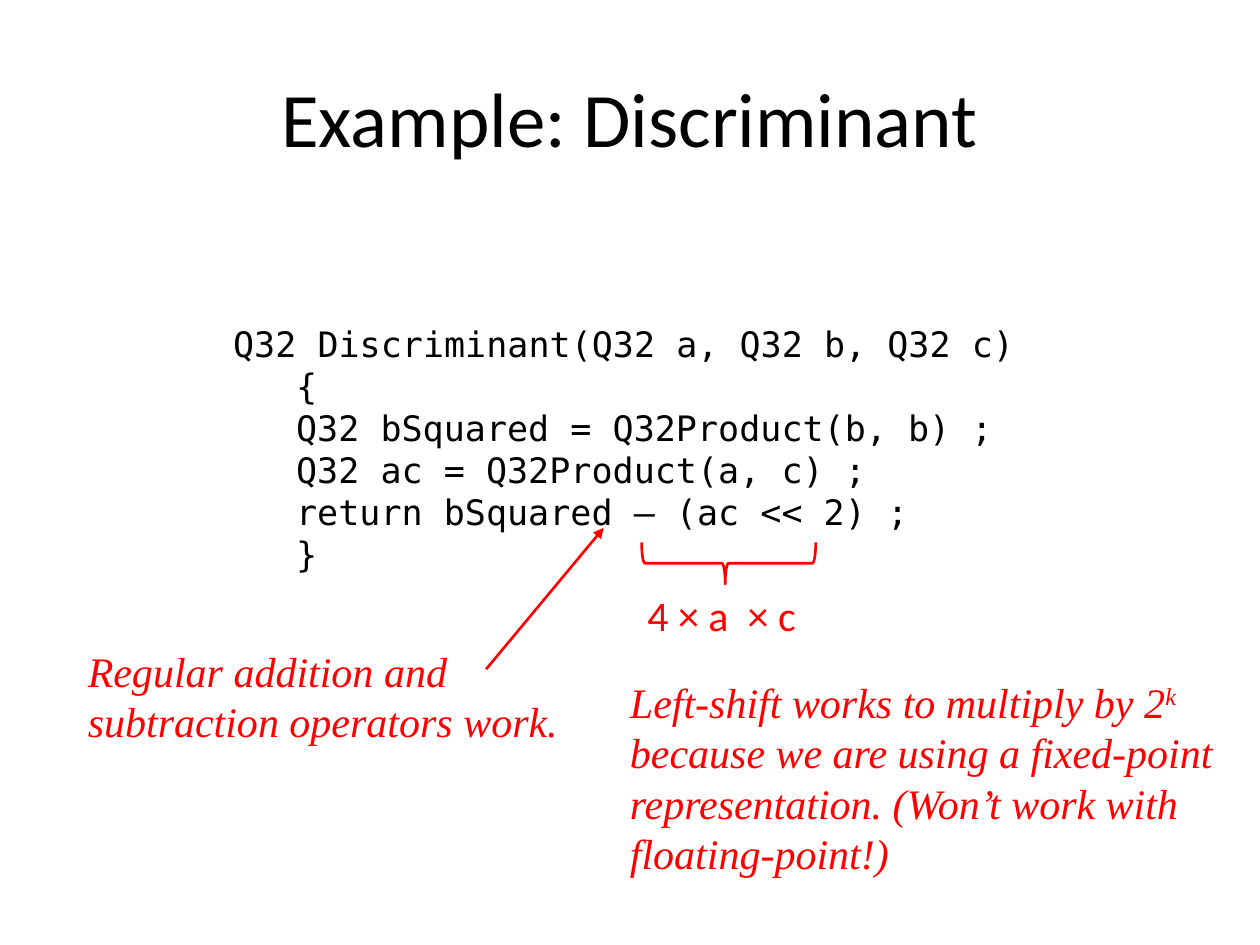
from dataclasses import dataclass

from lxml.etree import SubElement
from pptx import Presentation
from pptx.dml.color import RGBColor
from pptx.enum.shapes import MSO_CONNECTOR, MSO_SHAPE
from pptx.enum.text import MSO_ANCHOR, PP_ALIGN
from pptx.oxml.ns import qn
from pptx.util import Cm, Pt

COLORS = {"text": "000000", "note": "FF0000"}
LINE_WIDTH = Pt(1.5)
CODE_INDENT = Cm(1.27)
SUPERSCRIPT = "30000"


@dataclass
class Run:
    """A piece of text, raised when it is an exponent."""
    text: str
    raised: bool = False


@dataclass
class Line:
    """One paragraph and its indent level."""
    runs: list[Run]
    level: int = 0


@dataclass
class TextBlock:
    """A text box: place in centimetres, paragraphs and style."""
    box: tuple[float, float, float, float]
    lines: list[Line]
    font: str
    size: int
    color: str
    italic: bool = False
    align: PP_ALIGN = PP_ALIGN.LEFT
    anchor: MSO_ANCHOR = MSO_ANCHOR.TOP


def rgb(name: str) -> RGBColor:
    """Look up a named colour."""
    return RGBColor.from_string(COLORS[name])


def note(box: tuple[float, float, float, float], *runs: Run) -> TextBlock:
    """Describe a red italic remark."""
    return TextBlock(box, [Line(list(runs))], "Times New Roman", 24, "note", italic=True)


def add_text(s, block: TextBlock) -> None:
    """Draw a text block run by run."""
    tf = s.shapes.add_textbox(*map(Cm, block.box)).text_frame
    tf.word_wrap = True
    tf.vertical_anchor = block.anchor
    for i, line in enumerate(block.lines):
        p = tf.add_paragraph() if i else tf.paragraphs[0]
        p.alignment = block.align
        if line.level:
            p.level = line.level
            pPr = p._p.get_or_add_pPr()
            pPr.set("marL", str(CODE_INDENT * line.level))
            pPr.set("indent", "0")
        for run in line.runs:
            r = p.add_run()
            r.text = run.text
            r.font.name = block.font
            r.font.size = Pt(block.size)
            r.font.italic = block.italic
            r.font.color.rgb = rgb(block.color)
            if run.raised:
                r._r.get_or_add_rPr().set("baseline", SUPERSCRIPT)


def add_brace(s, box: tuple[float, float, float, float]) -> None:
    """Draw a brace turned to point downwards."""
    sp = s.shapes.add_shape(MSO_SHAPE.LEFT_BRACE, *map(Cm, box))
    sp.adjustments[0] = 0.08
    sp.adjustments[1] = 0.48
    sp.rotation = 270
    sp.shadow.inherit = False
    sp.fill.background()
    sp.line.color.rgb = rgb("note")
    sp.line.width = LINE_WIDTH


def add_arrow(s, start: tuple[float, float], end: tuple[float, float]) -> None:
    """Draw a straight arrow from start to end."""
    arrow = s.shapes.add_connector(MSO_CONNECTOR.STRAIGHT, *map(Cm, start + end))
    arrow.line.color.rgb = rgb("note")
    arrow.line.width = LINE_WIDTH
    SubElement(arrow.line._get_or_add_ln(), qn("a:tailEnd"), type="triangle")
    SubElement(arrow._element.spPr, qn("a:effectLst"))


CODE_BODY = [
    "{",
    "Q32 bSquared = Q32Product(b, b) ;",
    "Q32 ac = Q32Product(a, c) ;",
    "return bSquared – (ac << 2) ;",
    "}",
]

BLOCKS = [
    TextBlock((1.27, 0.76, 22.86, 3.18), [Line([Run("Example: Discriminant")])],
              "Calibri", 44, "text", align=PP_ALIGN.CENTER, anchor=MSO_ANCHOR.MIDDLE),
    TextBlock((4.45, 6.38, 18.87, 5.38),
              [Line([Run("Q32 Discriminant(Q32 a, Q32 b, Q32 c)")])]
              + [Line([Run(code)], level=1) for code in CODE_BODY],
              "DejaVu Sans Mono", 20, "text"),
    TextBlock((12.8, 11.76, 4.39, 1.27), [Line([Run("4 × a  × c")])],
              "Calibri", 24, "note"),
    note((1.52, 12.88, 10.24, 2.31),
         Run("Regular addition and subtraction operators work.")),
    note((12.45, 13.51, 12.32, 4.37),
         Run("Left-shift works to multiply by 2"),
         Run("k", raised=True),
         Run(" because we are using a fixed-point representation. "
             "(Won’t work with floating-point!)")),
]


def main() -> None:
    """Build the slide and save it."""
    prs = Presentation()
    prs.slide_width, prs.slide_height = Cm(25.4), Cm(19.05)
    s = prs.slides.add_slide(prs.slide_layouts[6])
    for block in BLOCKS:
        add_text(s, block)
    add_brace(s, (14.27, 9.6, 0.84, 3.51))
    add_arrow(s, (9.8, 13.49), (12.17, 10.64))
    prs.save("out.pptx")


main()
